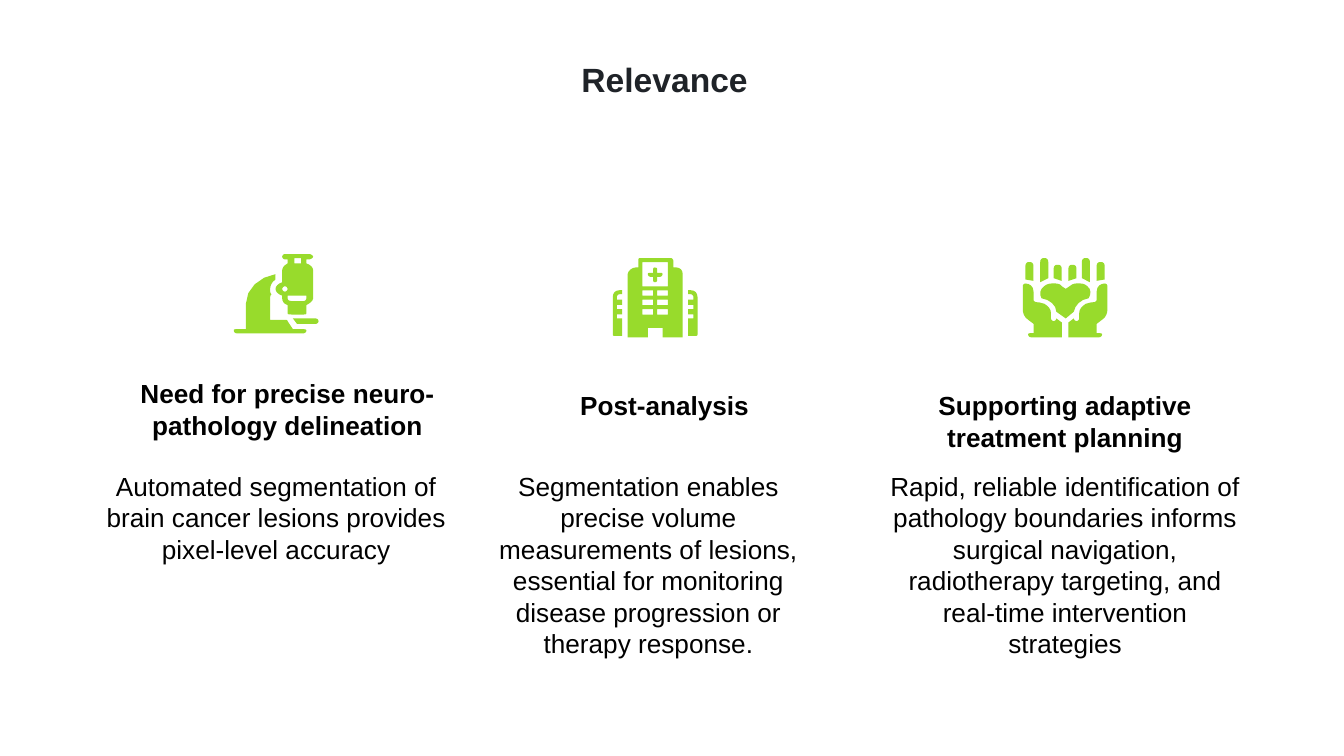
from pptx import Presentation
from pptx import util as u
from pptx.dml.color import RGBColor
from pptx.enum import text

PX = 9144  # EMU in one px, 100 px to the inch
FONT = "Arial"
INK = RGBColor(0x1F, 0x23, 0x28)
BLACK = RGBColor(0, 0, 0)
GREEN = RGBColor(0x98, 0xDB, 0x2C)

TITLE = "Relevance"
# heading, (left, top, width), body, (left, width)
COLUMNS = [
    ("Need for precise neuro-pathology delineation", (56, 281, 316),
     "Automated segmentation of brain cancer lesions provides "
     "pixel-level accuracy", (65, 281)),
    ("Post-analysis", (354, 290, 281),
     "Segmentation enables precise volume measurements of lesions, essential "
     "for monitoring disease progression or therapy response.", (354, 257)),
    ("Supporting adaptive treatment planning", (652, 290, 281),
     "Rapid, reliable identification of pathology boundaries informs surgical "
     "navigation, radiotherapy targeting, and real-time intervention "
     "strategies", (652, 281)),
]
HEADING_HEIGHT = 35
BODY_TOP, BODY_HEIGHT = 350, 145


def rectangle(left, top, right, bottom):
    return f"M {left},{top} L {right},{top} L {right},{bottom} L {left},{bottom} "


def finger(left, top, left_end, right_end):
    """Outline of an upright finger with a round tip."""
    mid, right = left + 3, left + 6
    return (f"M {mid},{top} C {left + 1},{top} {left},{top + 1} {left},{top + 3} "
            f"L {left},{left_end} L {right},{right_end} L {right},{top + 3} "
            f"C {right},{top + 1} {right - 1},{top} {mid},{top}")


MICROSCOPE = [
    # head, with its openings
    rectangle(219, 192, 224, 196)
    + "M 212,213 C 213,213 214,214 214,215 C 214,216 213,217 212,217 "
    "C 211,217 210,216 210,215 C 210,214 211,213 212,213 "
    "M 228,220 L 228,222 C 228,223 227,224 226,224 L 217,224 "
    "C 215,224 214,223 214,222 L 214,220 "
    "M 212,189 C 211,189 210,190 210,191 C 210,192 211,193 212,193 "
    "L 214,193 L 214,196 C 212,197 210,199 210,201 L 210,210 "
    "C 207,211 205,213 205,215 C 205,217 207,219 210,220 L 210,222 "
    "C 210,224 211,226 214,227 L 214,233 C 214,234 215,234 217,234 "
    "L 226,234 C 227,234 228,234 228,233 L 228,227 "
    "C 230,226 233,224 233,222 L 233,201 C 233,199 231,197 228,196 "
    "L 228,193 L 230,193 C 231,193 233,192 233,191 C 233,190 231,189 230,189",
    # stage
    "M 218,237 L 221,241 L 235,241 C 236,241 237,240 237,239 "
    "C 237,238 236,237 235,237",
    # arm and foot
    "M 205,204 C 193,206 183,215 183,226 L 183,245 L 176,245 "
    "C 174,245 174,245 174,246 C 174,247 175,248 176,248 L 226,248 "
    "C 227,248 228,247 228,246 C 228,245 227,245 226,245 L 218,245 "
    "L 214,239 C 214,238 213,238 212,238 L 201,238 L 201,222 "
    "C 201,221 201,220 202,219 C 201,218 201,217 201,215 "
    "C 201,213 202,210 205,208",
]

WINDOWS = "".join(rectangle(left, top, left + 8, top + 4)
                  for top in (216, 223, 230) for left in (478, 489))
HOSPITAL = [
    # cross
    "M 487,199 C 486,199 486,200 486,201 L 486,203 L 484,203 "
    "C 483,203 482,203 482,204 C 482,205 483,206 484,206 L 486,206 "
    "L 486,208 C 486,209 486,210 487,210 C 489,210 489,209 489,208 "
    "L 489,206 L 491,206 C 492,206 493,205 493,204 C 493,203 492,203 491,203 "
    "L 489,203 L 489,201 C 489,200 489,199 487,199",
    # main building
    rectangle(478, 195, 497, 213) + WINDOWS
    + "M 476,192 C 475,192 475,193 475,194 L 475,199 L 473,199 "
    "C 470,199 467,202 467,204 L 467,251 L 482,251 L 482,244 L 493,244 "
    "L 493,251 L 508,251 L 508,204 C 508,201 506,199 503,199 L 501,199 "
    "L 501,194 C 501,193 500,192 499,192",
]
WING = [
    "M 461,216 C 458,216 456,218 456,221 L 456,249 C 456,250 457,250 458,250 "
    "L 463,250 L 463,237 L 459,237 L 459,234 L 463,234 L 463,230 L 459,230 "
    "L 459,227 L 463,227 L 463,223 L 459,223 L 459,221 "
    "C 459,220 460,219 461,219 L 463,219 L 463,216",
]

HEART = [
    "M 784,211 C 782,211 779,211 777,213 C 774,215 773,219 775,222 "
    "C 781,223 786,227 786,232 L 793,237 L 799,232 C 800,227 804,223 810,222 "
    "C 812,219 812,215 809,213 C 807,211 805,211 802,211 "
    "C 800,211 798,211 796,213 L 793,215 L 790,213 C 789,211 786,211 784,211",
]
HAND = [
    finger(763, 195, 208, 209), finger(774, 192, 210, 207),
    finger(784, 197, 207, 209),
    # palm
    "M 763,211 C 762,211 761,212 761,213 L 761,230 C 761,233 762,236 765,238 "
    "L 769,241 C 769,241 769,242 769,242 L 769,248 L 767,248 "
    "C 766,248 765,248 765,249 C 765,250 766,251 767,251 L 790,251 L 790,240 "
    "L 786,237 C 786,238 785,239 784,239 C 783,239 782,238 782,237 L 782,233 "
    "C 782,230 780,228 777,226 C 776,226 774,225 772,225 "
    "C 770,225 769,224 769,223 L 769,217 C 769,213 766,211 763,211",
]
# whole outlines, left-hand outlines to mirror, sum of x on both sides
ICONS = [(MICROSCOPE, [], 0), (HOSPITAL, WING, 975), (HEART, HAND, 1585)]


def contours(outline, mirror=0):
    """Point lists in EMU, with each curve cut into short lines."""
    found = []
    for letter in "MLC":
        outline = outline.replace(letter, "|" + letter)
    for step in outline.split("|")[1:]:
        kind, *pairs = step.split()
        points = [tuple(map(int, pair.split(","))) for pair in pairs]
        points = [((mirror - x if mirror else x) * PX, y * PX) for x, y in points]
        if kind == "M":
            found.append(points)
        elif kind == "L":
            found[-1] += points
        else:
            curve = [found[-1][-1]] + points
            for t in (0.25, 0.5, 0.75, 1):
                weights = ((1 - t) ** 3, 3 * t * (1 - t) ** 2, 3 * t * t * (1 - t), t ** 3)
                found[-1].append(tuple(
                    round(sum(w * point[axis] for w, point in zip(weights, curve)))
                    for axis in (0, 1)))
    return found


def draw_outline(group, outline, mirror=0):
    first, *others = contours(outline, mirror)
    builder = group.shapes.build_freeform(*first[0])
    builder.add_line_segments(first[1:], close=True)
    for points in others:
        builder.move_to(*points[0])
        builder.add_line_segments(points[1:], close=True)
    shape = builder.convert_to_shape()
    shape.shadow.inherit = False
    shape.fill.solid()
    shape.fill.fore_color.rgb = GREEN
    shape.line.fill.background()


def write(box, words, size, colour, bold, inset=0):
    frame = box.text_frame
    frame.word_wrap = True
    frame.auto_size = text.MSO_AUTO_SIZE.NONE
    frame.vertical_anchor = text.MSO_ANCHOR.TOP
    frame.margin_left = frame.margin_right = 10 * PX
    frame.margin_top = frame.margin_bottom = inset * PX
    para = frame.paragraphs[0]
    para.text = words
    para.alignment = text.PP_ALIGN.CENTER
    para.font.name, para.font.size, para.font.bold = FONT, u.Pt(size), bold
    para.font.color.rgb = colour
    return para


def add_text(page, words, left, top, width, height, bold):
    box = page.shapes.add_textbox(*(n * PX for n in (left, top, width, height)))
    write(box, words, 14, BLACK, bold)


def main():
    deck = Presentation()
    deck.slide_width = u.Inches(10)
    deck.slide_height = deck.slide_width * 9 // 16
    page = deck.slides.add_slide(deck.slide_layouts[5])

    title = page.shapes.title
    title.left, title.top, title.width, title.height = (n * PX for n in (56, 34, 877, 77))
    para = write(title, TITLE, 18, INK, True, inset=5)
    para.line_spacing = 1.15

    for heading, place, body, (left, width) in COLUMNS:
        add_text(page, heading, *place, HEADING_HEIGHT, True)
        add_text(page, body, left, BODY_TOP, width, BODY_HEIGHT, False)

    for whole, halves, mirror in ICONS:
        group = page.shapes.add_group_shape()
        for outline in whole + halves:
            draw_outline(group, outline)
        for outline in halves:
            draw_outline(group, outline, mirror)

    deck.save("out.pptx")


if __name__ == "__main__":
    main()
